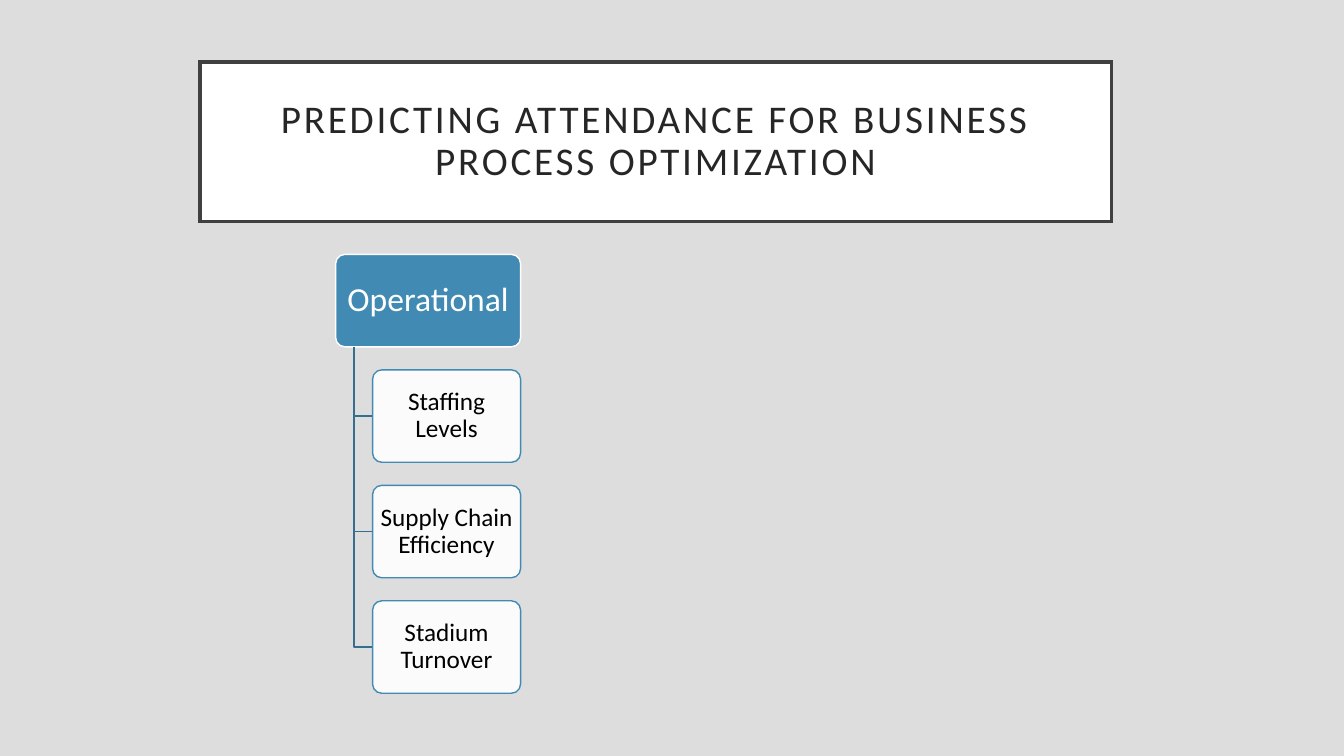
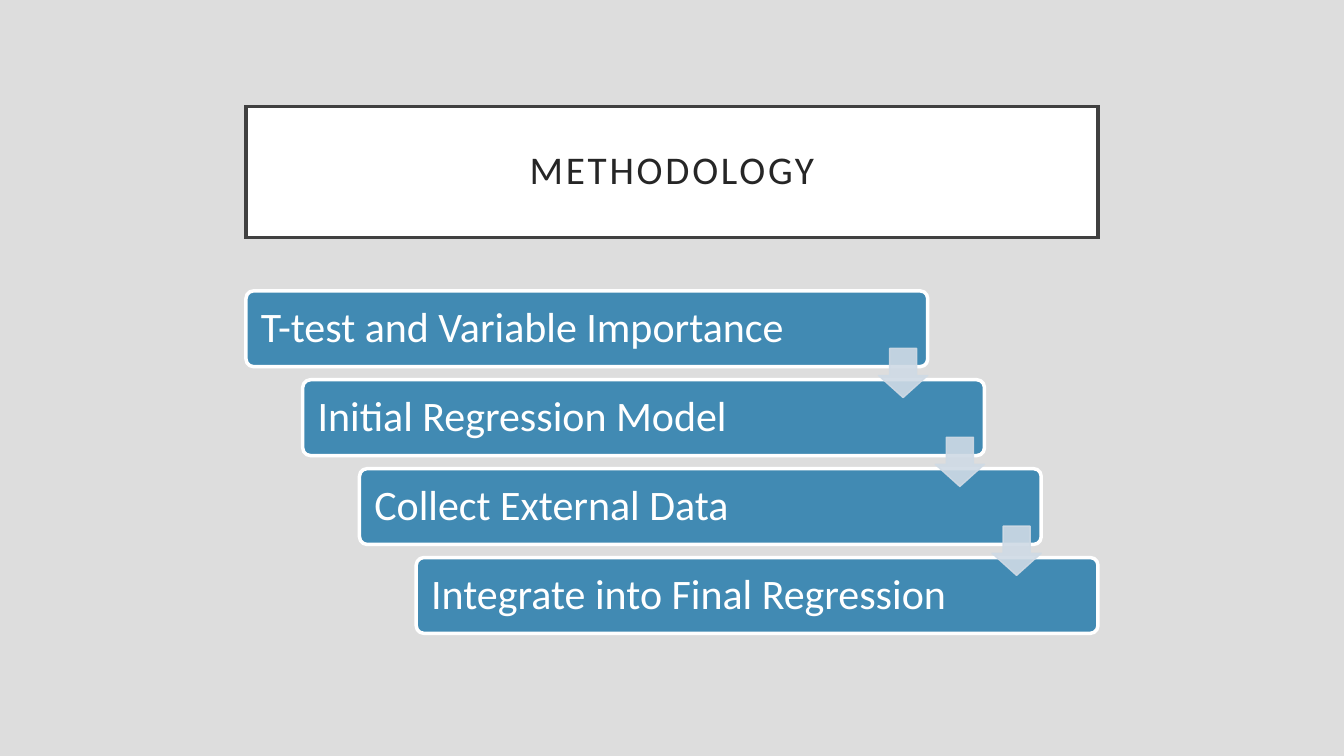
from lxml.etree import SubElement
from pptx import Presentation
from pptx.dml.color import RGBColor
from pptx.enum.shapes import MSO_SHAPE
from pptx.enum.text import MSO_ANCHOR, MSO_AUTO_SIZE, PP_ALIGN
from pptx.oxml.ns import qn
from pptx.util import Cm, Pt

# Shared style
FONT = "Calibri"
BACKGROUND = "DDDDDD"
WHITE = "FFFFFF"
BLACK = "000000"
TITLE_TEXT = "262626"
TITLE_BORDER = "404040"
ACCENT = "418AB3"
ELBOW = "346F8F"
ARROW = "CFDAE5"
TITLE_ONLY = 5


def colour(hex_string):
    return RGBColor.from_string(hex_string)


def outline(shape, line, width):
    shape.line.color.rgb = colour(line)
    shape.line.width = Pt(width)


def paint(shape, fill, line, width):
    shape.fill.solid()
    shape.fill.fore_color.rgb = colour(fill)
    outline(shape, line, width)


def set_opacity(shape, percent, include_line=False):
    properties = shape._element.spPr
    colours = properties.findall(qn("a:solidFill") + "/" + qn("a:srgbClr"))
    if include_line:
        colours += properties.findall(f"{qn('a:ln')}/{qn('a:solidFill')}/{qn('a:srgbClr')}")
    for element in colours:
        SubElement(element, qn("a:alpha"), val=str(percent * 1000))


def write_text(shape, text, size, text_colour, margins, alignment):
    frame = shape.text_frame
    frame.word_wrap = True
    frame.auto_size = MSO_AUTO_SIZE.NONE
    frame.vertical_anchor = MSO_ANCHOR.MIDDLE
    frame.margin_left = frame.margin_right = Cm(margins[0])
    frame.margin_top = frame.margin_bottom = Cm(margins[1])
    paragraph = frame.paragraphs[0]
    paragraph.alignment = alignment
    paragraph.line_spacing = 0.9
    run = paragraph.add_run()
    run.text = text
    run.font.name = FONT
    run.font.size = Pt(size)
    run.font.color.rgb = colour(text_colour)
    return run


def add_titled_slide(presentation, text, left, top, width, height):
    slide = presentation.slides.add_slide(presentation.slide_layouts[TITLE_ONLY])
    title = slide.shapes.title
    title.left, title.top = Cm(left), Cm(top)
    title.width, title.height = Cm(width), Cm(height)
    paint(title, WHITE, TITLE_BORDER, 2.5)
    # Square corners on the border
    SubElement(title._element.spPr.find(qn("a:ln")), qn("a:miter"), lim="800000")
    run = write_text(title, text, 28, TITLE_TEXT, (0.5, 0.5), PP_ALIGN.CENTER)
    run.font._element.set("spc", "200")
    return slide


def add_preset(slide, preset, box, adjustments, fill, line, width):
    shape = slide.shapes.add_shape(preset, *(Cm(value) for value in box))
    shape.shadow.inherit = False
    for index, value in enumerate(adjustments):
        shape.adjustments[index] = value
    paint(shape, fill, line, width)
    return shape


def add_rounded_box(slide, box, fill, line, width):
    return add_preset(slide, MSO_SHAPE.ROUNDED_RECTANGLE, box, [0.1], fill, line, width)


def add_elbow(slide, left, top, right, bottom):
    builder = slide.shapes.build_freeform(Cm(left), Cm(top))
    corners = [(Cm(left), Cm(bottom)), (Cm(right), Cm(bottom))]
    builder.add_line_segments(corners, close=False)
    elbow = builder.convert_to_shape()
    elbow.shadow.inherit = False
    elbow.fill.background()
    outline(elbow, ELBOW, 1)


def add_hierarchy(slide, heading, items):
    left, top, width, height, pitch = 8.46, 6.41, 4.66, 2.33, 2.91
    trunk_x, item_left, item_width = 8.92, 9.39, 3.73

    # Heading
    parent = add_rounded_box(slide, (left, top, width, height), ACCENT, WHITE, 1)
    write_text(parent, heading, 24, WHITE, (0.12, 0.08), PP_ALIGN.CENTER)

    # Items, each with its elbow from the heading
    for number, item in enumerate(items, start=1):
        item_top = top + pitch * number
        add_elbow(slide, trunk_x, top + height, item_left, item_top + height / 2)
        child = add_rounded_box(slide, (item_left, item_top, item_width, height), WHITE, ACCENT, 1)
        set_opacity(child, 90)
        write_text(child, item, 18, BLACK, (0.1, 0.08), PP_ALIGN.CENTER)


def add_staircase(slide, steps):
    left, top, width, height = 6.2, 7.33, 17.18, 1.91
    step_x, step_y = 1.43, 2.24
    arrow_left, arrow_top, arrow_size = 22.14, 8.78, 1.24

    # Steps
    for index, step in enumerate(steps):
        box = (left + step_x * index, top + step_y * index, width, height)
        bar = add_rounded_box(slide, box, ACCENT, WHITE, 2.5)
        write_text(bar, step, 30, WHITE, (0.32, 0.3), PP_ALIGN.LEFT)

    # Arrows between neighbouring steps
    for index in range(len(steps) - 1):
        box = (arrow_left + step_x * index, arrow_top + step_y * index, arrow_size, arrow_size)
        arrow = add_preset(slide, MSO_SHAPE.DOWN_ARROW, box, [0.55, 0.45], ARROW, ARROW, 1)
        set_opacity(arrow, 90, include_line=True)


def main():
    presentation = Presentation()
    presentation.slide_width, presentation.slide_height = Cm(33.87), Cm(19.05)
    background = presentation.slide_master.background.fill
    background.solid()
    background.fore_color.rgb = colour(BACKGROUND)

    # Slide 1: business areas
    slide = add_titled_slide(
        presentation, "PREDICTING ATTENDANCE FOR BUSINESS PROCESS OPTIMIZATION",
        5.04, 1.56, 22.97, 4.02)
    add_hierarchy(slide, "Operational",
                  ["Staffing Levels", "Supply Chain Efficiency", "Stadium Turnover"])

    # Slide 2: methodology
    slide = add_titled_slide(presentation, "METHODOLOGY", 6.2, 2.68, 21.47, 3.3)
    add_staircase(slide, ["T-test and Variable Importance", "Initial Regression Model",
                          "Collect External Data", "Integrate into Final Regression"])

    presentation.save("out.pptx")


if __name__ == "__main__":
    main()
